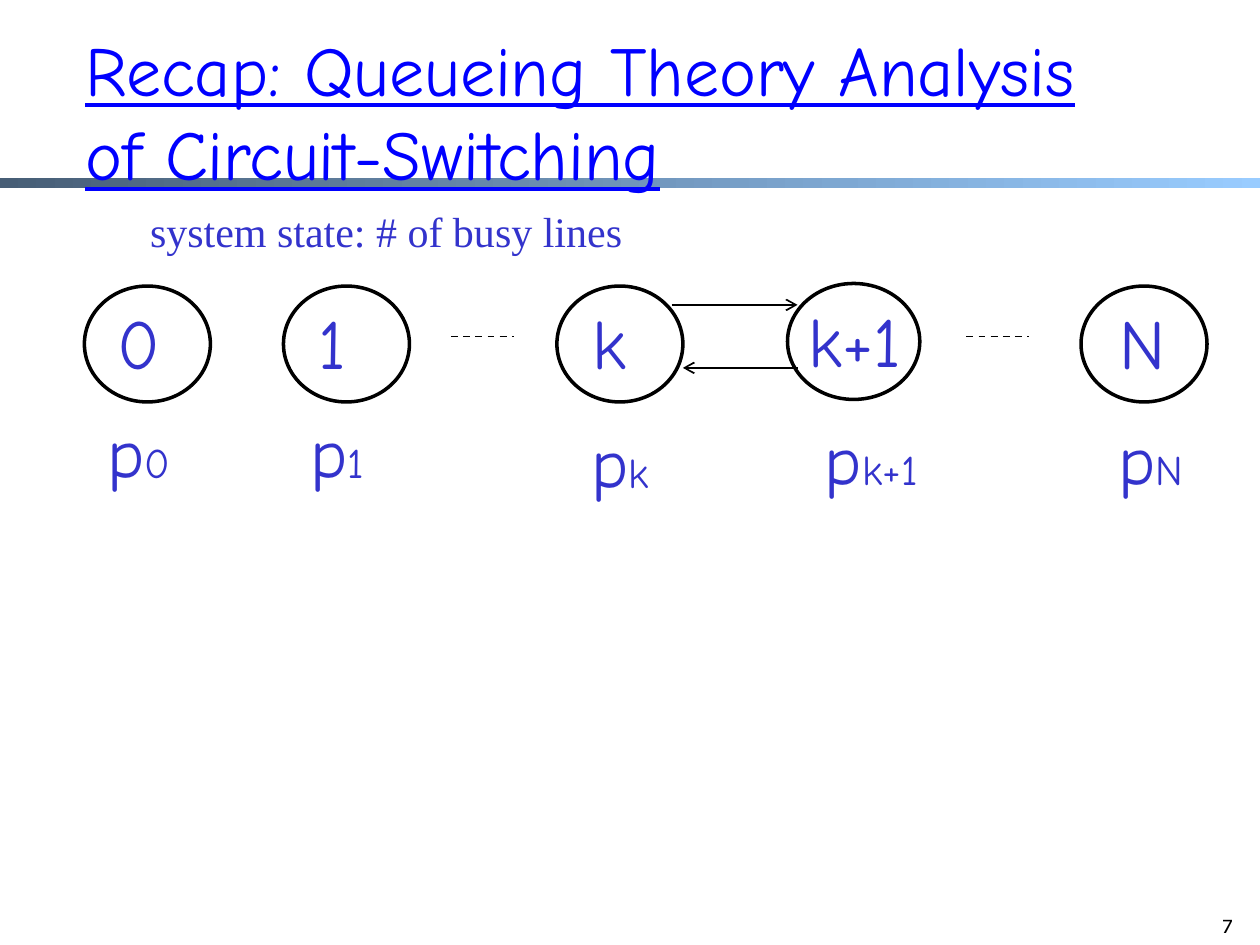
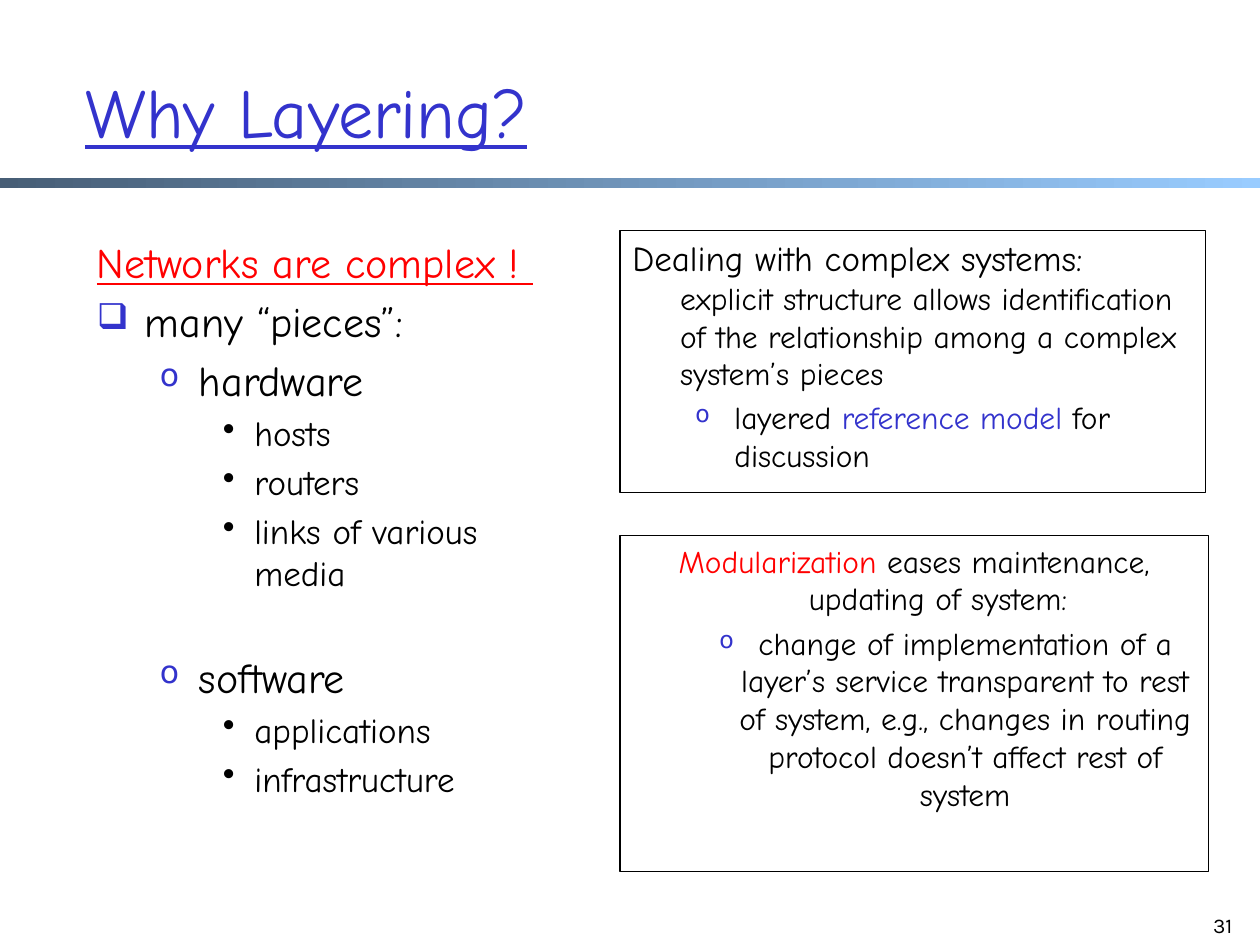
"""Build two lecture slides on circuit switching and layering."""
from dataclasses import dataclass

from lxml.etree import SubElement
from pptx import Presentation
from pptx.dml.color import RGBColor
from pptx.enum.dml import MSO_LINE
from pptx.enum.shapes import MSO_CONNECTOR, MSO_SHAPE
from pptx.enum.text import MSO_ANCHOR, MSO_AUTO_SIZE, PP_ALIGN
from pptx.oxml.ns import qn
from pptx.util import Inches, Pt

BLACK = RGBColor(0x00, 0x00, 0x00)
BLUE = RGBColor(0x33, 0x33, 0xCC)
BRIGHT_BLUE = RGBColor(0x00, 0x00, 0xFF)
RED = RGBColor(0xFF, 0x00, 0x00)
BAND_DARK = RGBColor(0x47, 0x5E, 0x76)
BAND_LIGHT = RGBColor(0x99, 0xCC, 0xFF)
COMIC, KARLA, TIMES = "Comic Neue", "Karla", "Times New Roman"
LABEL_HEIGHT = 0.77


@dataclass(frozen=True)
class Span:
    """A stretch of text in one style."""
    text: str
    size: float
    color: RGBColor = BLACK
    font: str = COMIC
    underline: bool = False


@dataclass(frozen=True)
class Item:
    """A paragraph of an outline, with extra space above in points."""
    spans: tuple[Span, ...]
    level: int = 0
    bulleted: bool = True
    extra: float = 0


@dataclass(frozen=True)
class Level:
    """Indents and bullet of an outline level."""
    margin: float
    indent: float
    bullet: str
    percent: int
    color: RGBColor


@dataclass(frozen=True)
class State:
    """A state circle with its label and its probability."""
    name: str
    left: float
    label_width: float
    chance_left: float
    chance_top: float
    chance_width: float
    top: float = 2.27
    width: float = 1
    label_shift: float = 0.16


LEVELS = (
    Level(0.38, -0.38, "❑", 85, BLUE),
    Level(0.81, -0.31, "o", 75, BLUE),
    Level(1.25, -0.25, "•", 100, BLACK),
)

STATES = (
    State("0", 0.67, 0.54, 0.75, 3.19, 0.71),
    State("1", 2.25, 0.45, 2.35, 3.19, 0.65),
    State("k", 4.42, 0.51, 4.58, 3.27, 0.68),
    State("k+1", 6.25, 1.03, 6.41, 3.25, 1.01, 2.25, 1.05, 0.02),
    State("N", 8.58, 0.65, 8.75, 3.25, 0.77),
)

COMPLEXITY = (
    Item((Span("Networks are complex ! ", 24, RED, underline=True),), bulleted=False),
    Item((Span("many “pieces”:", 24),)),
    Item((Span("hardware", 24),), 1),
    Item((Span("hosts", 20),), 2),
    Item((Span("routers", 20),), 2),
    Item((Span("links of various media", 20),), 2),
    Item((Span("software", 24),), 1, extra=28),
    Item((Span("applications", 20),), 2),
    Item((Span("infrastructure", 20),), 2),
)

STRUCTURE = (
    Item((
        Span("Dealing with complex systems:\n", 20),
        Span("explicit structure allows identification of the relationship "
             "among a complex system’s pieces", 18),
    ), bulleted=False),
    Item((
        Span("layered ", 18),
        Span("reference model", 18, BLUE),
        Span(" for discussion", 18),
    ), 1),
)

MODULARITY = (
    Item((
        Span("Modularization", 18, RED),
        Span(" eases maintenance, updating of system:", 18),
    ), bulleted=False),
    Item((
        Span("change of implementation of a layer’s service transparent to rest "
             "of system, e.g., changes in routing protocol doesn’t affect rest "
             "of system", 18),
    ), 1),
)


def lengths(*values: float) -> list[Inches]:
    """Turn numbers into inches."""
    return [Inches(value) for value in values]


def add_spans(para, spans: tuple[Span, ...]) -> None:
    """Write styled runs into a paragraph."""
    for span in spans:
        run = para.add_run()
        run.text = span.text.rstrip("\n")
        run.font.name = span.font
        run.font.size = Pt(span.size)
        run.font.color.rgb = span.color
        run.font.underline = span.underline
        if span.text.endswith("\n"):
            para.add_line_break()


def add_text(page, place: tuple[float, ...], *spans: Span,
             align: PP_ALIGN = PP_ALIGN.LEFT, wrap: bool = True,
             anchor: MSO_ANCHOR = MSO_ANCHOR.TOP) -> None:
    """Add a text box with one paragraph."""
    frame = page.shapes.add_textbox(*lengths(*place)).text_frame
    frame.word_wrap = wrap
    frame.auto_size = MSO_AUTO_SIZE.NONE if wrap else MSO_AUTO_SIZE.SHAPE_TO_FIT_TEXT
    frame.vertical_anchor = anchor
    frame.paragraphs[0].alignment = align
    add_spans(frame.paragraphs[0], spans)


def add_label(page, place: tuple[float, ...], *spans: Span) -> None:
    """Add a centred label that does not wrap."""
    add_text(page, place, *spans, align=PP_ALIGN.CENTER, wrap=False)


def add_outline_shape(page, kind: MSO_SHAPE, place: tuple[float, ...], weight: float):
    """Add an unfilled shape with a black outline."""
    shape = page.shapes.add_shape(kind, *lengths(*place))
    shape.shadow.inherit = False
    shape.fill.background()
    shape.line.color.rgb = BLACK
    shape.line.width = Pt(weight)
    return shape


def set_level(para, item: Item) -> None:
    """Give a paragraph the indents and bullet of its level."""
    level = LEVELS[item.level]
    para.level = item.level
    para.space_before = Pt(0.2 * item.spans[0].size + item.extra)
    properties = para._p.get_or_add_pPr()
    properties.set("marL", str(Inches(level.margin)))
    properties.set("indent", str(Inches(level.indent)))
    if item.bulleted:
        color = SubElement(properties, qn("a:buClr"))
        SubElement(color, qn("a:srgbClr"), val=str(level.color))
        SubElement(properties, qn("a:buSzPct"), val=str(level.percent * 1000))
        SubElement(properties, qn("a:buChar"), char=level.bullet)


def fill_outline(shape, items: tuple[Item, ...],
                 align: PP_ALIGN = PP_ALIGN.LEFT) -> None:
    """Write an outline into a shape."""
    frame = shape.text_frame
    frame.word_wrap = True
    frame.vertical_anchor = MSO_ANCHOR.TOP
    for index, item in enumerate(items):
        para = frame.add_paragraph() if index else frame.paragraphs[0]
        para.alignment = align
        set_level(para, item)
        add_spans(para, item.spans)


def add_line(page, start: float, end: float, height: float,
             kind: MSO_CONNECTOR = MSO_CONNECTOR.STRAIGHT,
             arrow: bool = False) -> None:
    """Add a level line, either dashed or with an arrowhead."""
    line = page.shapes.add_connector(kind, *lengths(start, height, end, height))
    line.line.color.rgb = BLACK
    line.line.width = Pt(1)
    if arrow:
        SubElement(line.line._get_or_add_ln(), qn("a:tailEnd"), type="arrow")
    else:
        line.line.dash_style = MSO_LINE.DASH
    SubElement(line._element.spPr, qn("a:effectLst"))


def add_page(deck, title: str, color: RGBColor, number: int):
    """Add a slide with band, title and page number."""
    page = deck.slides.add_slide(deck.slide_layouts[6])
    band = page.shapes.add_shape(MSO_SHAPE.RECTANGLE, *lengths(0, 1.41, 10, 0.08))
    band.shadow.inherit = False
    band.line.fill.background()
    band.fill.gradient()
    band.fill.gradient_angle = 0
    for stop, shade, position in zip(band.fill.gradient_stops,
                                     (BAND_DARK, BAND_LIGHT), (0, 1)):
        stop.color.rgb = shade
        stop.position = position
    add_text(page, (0.58, 0.25, 8.5, 1.25), Span(title, 40, color, underline=True),
             anchor=MSO_ANCHOR.MIDDLE)
    add_text(page, (9.38, 7.19, 0.5, 0.5), Span(str(number), 12, font=KARLA),
             align=PP_ALIGN.RIGHT)
    return page


def add_state(page, state: State) -> None:
    """Draw a state circle with its label and probability."""
    add_outline_shape(page, MSO_SHAPE.OVAL,
                      (state.left, state.top, state.width, 0.92), 2)
    add_label(page, (state.left + state.label_shift, state.top + 0.06,
                     state.label_width, LABEL_HEIGHT), Span(state.name, 40, BLUE))
    add_label(page, (state.chance_left, state.chance_top,
                     state.chance_width, LABEL_HEIGHT),
              Span("p", 40, BLUE), Span(state.name, 24, BLUE))


def build_queueing(deck) -> None:
    """Build the slide with the chain of states."""
    page = add_page(deck, "Recap: Queueing Theory Analysis of Circuit-Switching",
                    BRIGHT_BLUE, 7)
    add_label(page, (1.07, 1.58, 3.99, 0.51),
              Span("system state: # of busy lines", 24, BLUE, TIMES))
    for state in STATES:
        add_state(page, state)
    add_line(page, 5.33, 6.33, 2.42, MSO_CONNECTOR.CURVE, arrow=True)
    add_line(page, 6.33, 5.42, 2.92, arrow=True)
    for start in (3.58, 7.67):
        add_line(page, start, start + 0.5, 2.67)


def build_layering(deck) -> None:
    """Build the slide on the reasons for layering."""
    page = add_page(deck, "Why Layering?", BLUE, 31)
    fill_outline(page.shapes.add_textbox(*lengths(0.67, 1.83, 3.92, 5.08)), COMPLEXITY)
    structure = add_outline_shape(page, MSO_SHAPE.RECTANGLE,
                                  (4.92, 1.83, 4.65, 2.08), 0.75)
    fill_outline(structure, STRUCTURE)
    modularity = add_outline_shape(page, MSO_SHAPE.RECTANGLE,
                                   (4.92, 4.25, 4.67, 2.67), 0.75)
    fill_outline(modularity, MODULARITY, PP_ALIGN.CENTER)


def main() -> None:
    """Build and save the deck."""
    deck = Presentation()
    deck.slide_width, deck.slide_height = lengths(10, 7.5)
    build_queueing(deck)
    build_layering(deck)
    deck.save("out.pptx")


if __name__ == "__main__":
    main()
